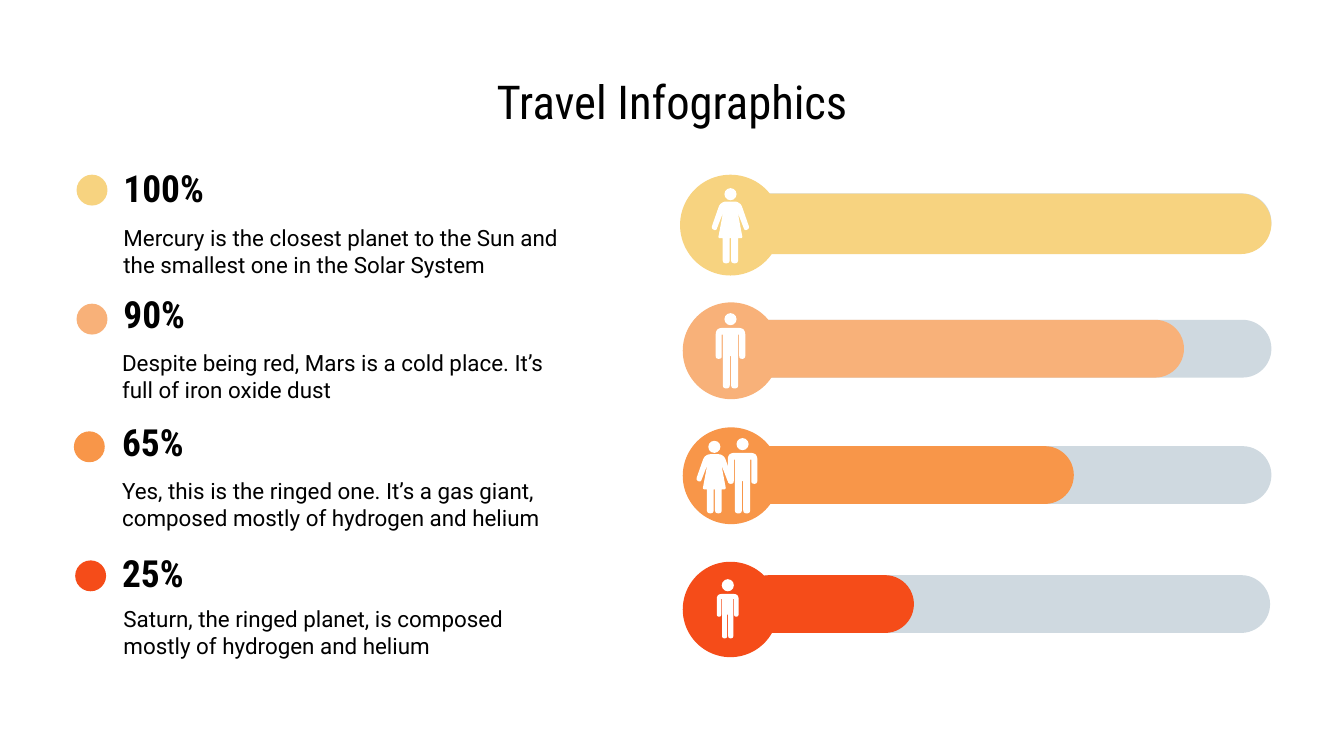
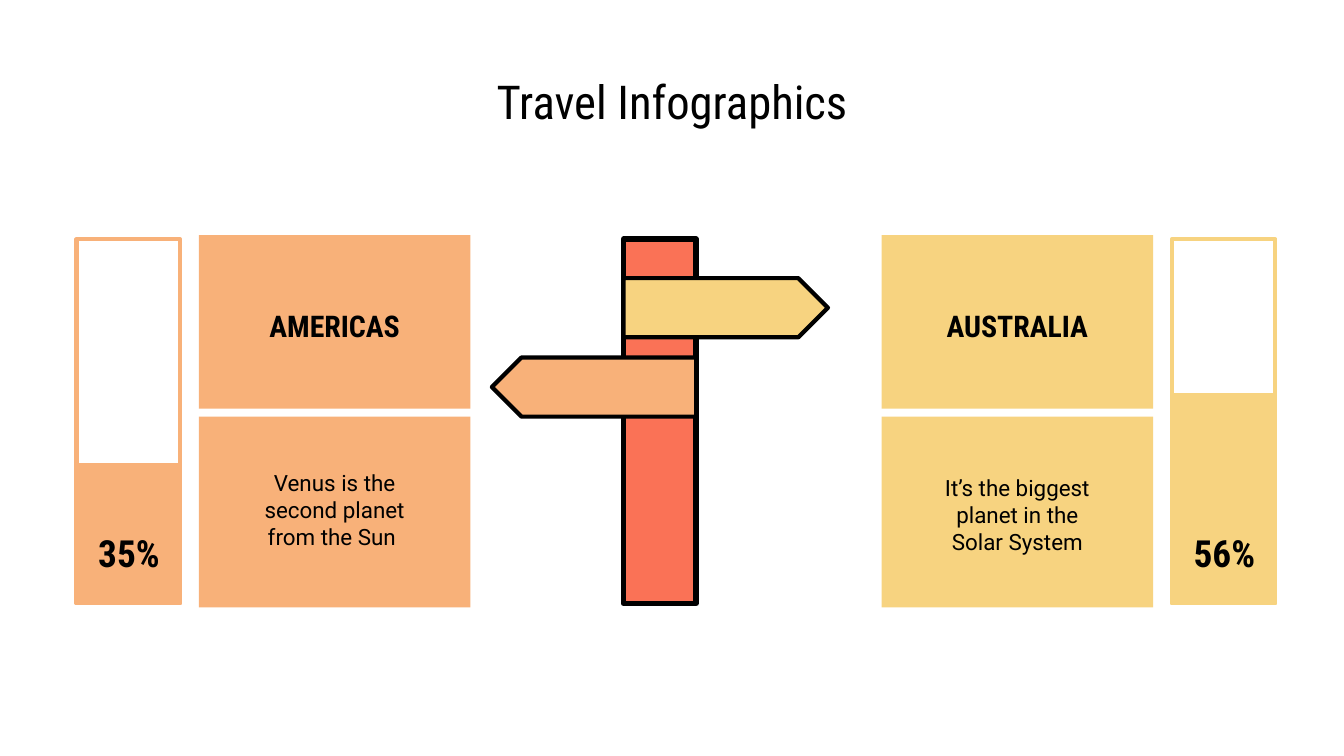
from pptx import Presentation
from pptx import util as u
from pptx.dml.color import RGBColor
from pptx.enum import shapes, text

PX = 9144
COLORS = {
    "black": "000000",
    "white": "FFFFFF",
    "track": "CFD9E0",
    "yellow": "F7D380",
    "peach": "F8B179",
    "orange": "F89649",
    "red": "F54C19",
    "coral": "FA7256",
}
HEAD_FONT = "Roboto Condensed"
BODY_FONT = "Roboto"
SHAPE = shapes.MSO_SHAPE
ALIGN = text.PP_ALIGN
ANCHOR = text.MSO_ANCHOR

MAN = [
    (110, 0, 50), (110, 230, 22), (65, 230, 22), (65, 50, 0), (57, 50, 0),
    (57, 450, 25), (5, 450, 25), (5, 210, 0),
]
WOMAN = [
    (72, 0, 45), (142, 200, 22), (105, 215, 18), (55, 85, 0), (90, 270, 15),
    (57, 270, 0), (57, 455, 25), (5, 455, 25), (5, 270, 0),
]


def mirrored(half):
    return half + [(-x, y, r) for x, y, r in reversed(half)]


def toward(start, end, distance):
    dx, dy = end[0] - start[0], end[1] - start[1]
    part = distance / (dx * dx + dy * dy) ** 0.5
    return start[0] + dx * part, start[1] + dy * part


def rounded(outline, steps=6):
    points = []
    for i, corner in enumerate(outline):
        x, y, radius = corner
        if not radius:
            points.append((x, y))
            continue
        ax, ay = toward(corner, outline[i - 1], radius)
        bx, by = toward(corner, outline[(i + 1) % len(outline)], radius)
        for step in range(steps + 1):
            t = step / steps
            a, c, b = (1 - t) ** 2, 2 * t * (1 - t), t * t
            points.append((a * ax + c * x + b * bx, a * ay + c * y + b * by))
    return points


class Deck:
    def __init__(self, width):
        self.prs = Presentation()
        self.prs.slide_width = width * PX
        self.prs.slide_height = width * PX * 9 // 16
        self.s = None

    def slide(self, title):
        self.s = self.prs.slides.add_slide(self.prs.slide_layouts[6])
        self.text(title, 50, 49, 900, 57, 25, HEAD_FONT, align=ALIGN.CENTER, anchor=ANCHOR.BOTTOM)

    def paint(self, sp, fill=None, line=None, weight=2.25):
        sp.shadow.inherit = False
        if fill:
            sp.fill.solid()
            sp.fill.fore_color.rgb = RGBColor.from_string(COLORS[fill])
        else:
            sp.fill.background()
        if line:
            sp.line.color.rgb = RGBColor.from_string(COLORS[line])
            sp.line.width = u.Pt(weight)
        else:
            sp.line.fill.background()

    def shape(self, kind, x, y, w, h, fill=None, line=None, weight=2.25):
        sp = self.s.shapes.add_shape(kind, x * PX, y * PX, w * PX, h * PX)
        self.paint(sp, fill, line, weight)
        return sp

    def text(self, words, x, y, w, h, size, font, bold=False, align=ALIGN.LEFT, anchor=ANCHOR.TOP):
        tf = self.s.shapes.add_textbox(x * PX, y * PX, w * PX, h * PX).text_frame
        tf.word_wrap = True
        tf.vertical_anchor = anchor
        tf.margin_left = tf.margin_right = tf.margin_top = tf.margin_bottom = 10 * PX
        tf.text = words
        p = tf.paragraphs[0]
        p.alignment = align
        r = p.runs[0]
        r.font.name = font
        r.font.size = u.Pt(size)
        r.font.bold = bold
        r.font.color.rgb = RGBColor.from_string(COLORS["black"])

    def bar(self, x, y, w, h, fill):
        self.shape(SHAPE.ROUNDED_RECTANGLE, x, y, w, h, fill).adjustments[0] = 0.5

    def dot(self, x, y, size, fill):
        self.shape(SHAPE.OVAL, x, y, size, size, fill)

    def person(self, half, x, head_y, body_y, height):
        head = 9
        points = rounded(mirrored(half))
        scale = height * PX / max(y for _, y in points)
        builder = self.s.shapes.build_freeform(*points[0], scale=scale)
        builder.add_line_segments(points[1:], close=True)
        sp = builder.convert_to_shape(int((x + head / 2) * PX), body_y * PX)
        self.paint(sp, "white")
        self.dot(x, head_y, head, "white")

    def gauge(self, x, level, label, color):
        top, width, height = 178, 77, 271
        self.shape(SHAPE.RECTANGLE, x, top, width, height, line=color)
        self.shape(SHAPE.RECTANGLE, x, top + height - level, width, level, color, color)
        self.text(label, x, 376, 78, 71, 20, HEAD_FONT, True, ALIGN.CENTER, ANCHOR.MIDDLE)

    def region(self, x, name, note, note_y, color):
        self.shape(SHAPE.RECTANGLE, x, 175, 202, 129, color)
        self.shape(SHAPE.RECTANGLE, x, 310, 202, 142, color)
        self.text(name, x + 16, 207, 170, 71, 16, HEAD_FONT, True, ALIGN.CENTER, ANCHOR.MIDDLE)
        self.text(note, x + 25, note_y, 152, 71, 12, BODY_FONT, align=ALIGN.CENTER)

    def sign(self, x, y, color, rotation=0):
        sp = self.shape(SHAPE.PENTAGON, x, y, 152, 44, color, "black")
        sp.adjustments[0] = 0.5
        sp.rotation = rotation


def travellers(deck):
    deck.slide("Travel Infographics")
    rows = [
        ("100%", "Mercury is the closest planet to the Sun and the smallest one in the Solar System",
         "yellow", (551, 144), (144, 395, 45), (506, 130, 75), (57, 130), (82, 113), (82, 157),
         [(WOMAN, 539, 140, 150, 46)]),
        ("90%", "Despite being red, Mars is a cold place. It’s full of iron oxide dust",
         "peach", (551, 238), (238, 330, 43), (508, 225, 72), (57, 226), (82, 207), (81, 250),
         [(MAN, 539, 233, 244, 45)]),
        ("65%", "Yes, this is the ringed one. It’s a gas giant, composed mostly of hydrogen and helium",
         "orange", (551, 332), (332, 248, 43), (508, 318, 72), (55, 321), (81, 302), (81, 345),
         [(WOMAN, 527, 328, 338, 44), (MAN, 548, 326, 337, 45)]),
        ("25%", "Saturn, the ringed planet, is composed mostly of hydrogen and helium",
         "red", (550, 428), (428, 129, 43), (508, 418, 71), (56, 417), (81, 399), (82, 440),
         [(MAN, 537, 431, 442, 33)]),
    ]
    for share, note, color, track, level, badge, bullet, head, body, people in rows:
        deck.bar(*track, 395, 43, "track")
        deck.bar(551, *level, color)
        deck.dot(*badge, color)
        for person in people:
            deck.person(*person)
        deck.dot(*bullet, 23, color)
        deck.text(share, *head, 394, 37, 20, HEAD_FONT, True)
        deck.text(note, *body, 349, 61, 12, BODY_FONT)


def signpost(deck):
    deck.slide("Travel Infographics")
    deck.gauge(57, 103, "35%", "peach")
    deck.region(148, "AMERICAS", "Venus is the second planet from the Sun ", 339, "peach")
    deck.gauge(872, 155, "56%", "yellow")
    deck.region(656, "AUSTRALIA", "It’s the biggest planet in the Solar System", 343, "yellow")
    deck.shape(SHAPE.RECTANGLE, 464, 178, 54, 271, "coral", "black", 3)
    deck.sign(464, 207, "yellow")
    deck.sign(366, 266, "peach", 180)


def main():
    deck = Deck(1000)
    travellers(deck)
    signpost(deck)
    deck.prs.save("out.pptx")


if __name__ == "__main__":
    main()
